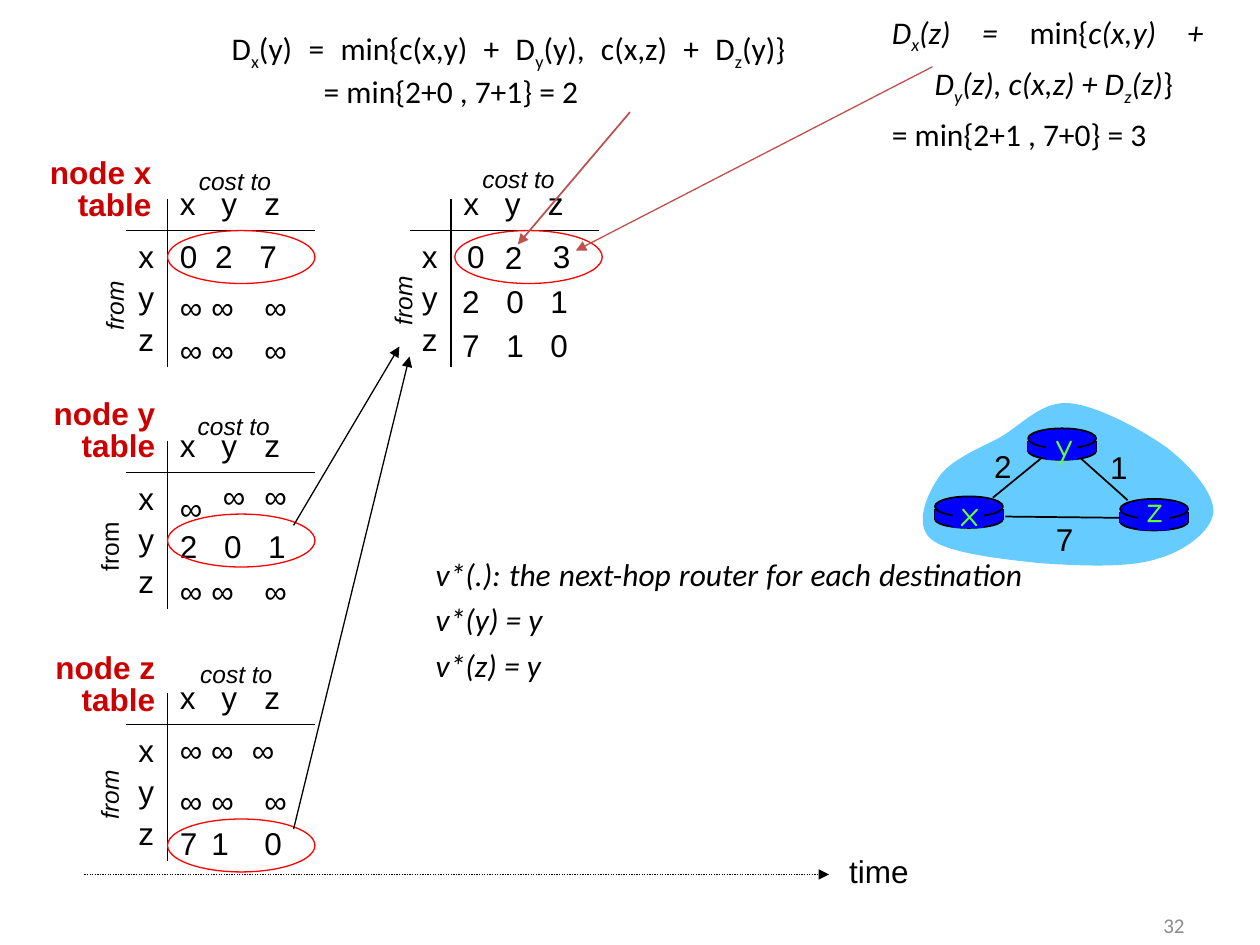
from dataclasses import dataclass

import lxml.etree
import pptx
import pptx.dml.color
import pptx.enum.dml
import pptx.enum.shapes
import pptx.enum.text
import pptx.oxml.ns
import pptx.util

Inches = pptx.util.Inches
Pt = pptx.util.Pt
MSO = pptx.enum.shapes.MSO_SHAPE
ALIGN = pptx.enum.text.PP_ALIGN
COLORS = {"black": "000000", "title": "CC0000", "ring": "FF0000", "arrow": "C0504D",
          "cloud": "66CCFF", "router": "0000FF", "name": "66FF33", "number": "8C8C8C"}
HEADER_TABS = (0.33, 0.67)
DIGIT_TABS = (0.35, 0.7)


@dataclass
class Cell:
    text: str
    x: float
    y: float
    w: float = 0.34
    tabs: tuple = ()


@dataclass
class CostTable:
    x: float
    y: float
    cost: tuple
    source: tuple
    ring: tuple
    cells: list
    title: str = ""
    title_box: tuple = ()
    source_italic: bool = True


@dataclass
class Router:
    name: str
    x: float
    y: float
    label: tuple


def color(name: str):
    return pptx.dml.color.RGBColor.from_string(COLORS[name])


def child(parent, tag: str, **attrs):
    return lxml.etree.SubElement(parent, pptx.oxml.ns.qn(tag), attrs)


def set_tabs(p, stops: tuple) -> None:
    if stops:
        tabs = child(p._p.get_or_add_pPr(), "a:tabLst")
        for stop in stops:
            child(tabs, "a:tab", pos=str(Inches(stop)), algn="l")


def add_text(shapes, box: tuple, *lines, size=18, font="Arial", ink="black", bold=None,
             italic=None, align=None, spacing=None, tabs=(), hangs=(), wrap=True, middle=False):
    tb = shapes.add_textbox(*map(Inches, box))
    tf = tb.text_frame
    tf.word_wrap = wrap
    if middle:
        tf.vertical_anchor = pptx.enum.text.MSO_ANCHOR.MIDDLE
    for i, line in enumerate(lines):
        p = tf.paragraphs[0] if i == 0 else tf.add_paragraph()
        if i < len(hangs) and hangs[i]:
            pPr = p._p.get_or_add_pPr()
            pPr.set("marL", str(Inches(hangs[i])))
            pPr.set("indent", str(-Inches(hangs[i])))
        p.alignment = align
        if spacing:
            p.line_spacing = spacing
        if isinstance(line, str):
            if "\t" in line:
                set_tabs(p, tabs)
            p.text = line
        else:
            add_formula(p, line)
        p.font.size, p.font.name = Pt(size), font
        p.font.bold, p.font.italic = bold, italic
        p.font.color.rgb = color(ink)
    return tb


def add_formula(p, segments: list) -> None:
    for text, style in segments:
        if text == "\v":
            p.add_line_break()
            continue
        r = p.add_run()
        r.text = text
        if "i" in style:
            r.font.italic = True
        if "s" in style:
            r.font._element.set("baseline", "-25000")


def add_line(shapes, start: tuple, end: tuple, ink="black", width=0.75, arrow=False, dotted=False):
    c = shapes.add_connector(pptx.enum.shapes.MSO_CONNECTOR.STRAIGHT,
                             *map(Inches, start + end))
    c.line.color.rgb = color(ink)
    c.line.width = Pt(width)
    if dotted:
        c.line.dash_style = pptx.enum.dml.MSO_LINE.ROUND_DOT
    if arrow:
        child(c.line._get_or_add_ln(), "a:tailEnd", type="triangle")
    child(c._element.spPr, "a:effectLst")


def style_shape(sp, fill=None, line=None, width=0.75) -> None:
    sp.shadow.inherit = False
    if fill:
        sp.fill.solid()
        sp.fill.fore_color.rgb = color(fill)
    else:
        sp.fill.background()
    if line:
        sp.line.color.rgb = color(line)
        sp.line.width = Pt(width)
    else:
        sp.line.fill.background()


def add_shape(shapes, kind, box: tuple, **style) -> None:
    style_shape(shapes.add_shape(kind, *map(Inches, box)), **style)


def add_table(shapes, t: CostTable) -> None:
    add_line(shapes, (t.x, t.y - 0.25), (t.x, t.y + 1.08))
    add_line(shapes, (t.x - 0.33, t.y), (t.x + 1.17, t.y))
    add_text(shapes, (t.x, t.y - 0.42, 1.1, 0.4), "x\ty\tz", tabs=HEADER_TABS)
    for i, node in enumerate("xyz"):
        add_text(shapes, (t.x - 0.33, t.y + i * 0.33, 0.34, 0.4), node)
    for c in t.cells:
        add_text(shapes, (c.x, c.y, c.w, 0.4), *c.text.split("\n"), tabs=c.tabs)
    add_text(shapes, t.cost + (0.9, 0.33), "cost to", size=14, italic=True)
    tb = add_text(shapes, t.source + (0.59, 0.33), "from", size=14, italic=t.source_italic,
                  wrap=False)
    tb.rotation = 270
    if t.title:
        add_text(shapes, t.title_box + (1.01, 0.61), t.title, "table", ink="title", bold=True,
                 align=ALIGN.RIGHT, spacing=0.85, wrap=False)
    add_shape(shapes, MSO.OVAL, t.ring + (1.17, 0.42), line="ring")


def add_router(shapes, r: Router) -> None:
    disc = {"fill": "router", "line": "black", "width": 1}
    add_shape(shapes, MSO.OVAL, (r.x, r.y + 0.11, 0.54, 0.14), **disc)
    for x in (r.x, r.x + 0.54):
        add_line(shapes, (x, r.y + 0.1), (x, r.y + 0.19), width=1)
    add_shape(shapes, MSO.RECTANGLE, (r.x, r.y + 0.1, 0.54, 0.09), fill="router")
    add_shape(shapes, MSO.OVAL, (r.x, r.y, 0.54, 0.16), **disc)
    add_shape(shapes, MSO.RECTANGLE, (r.x + 0.14, r.y + 0.02, 0.25, 0.23), fill="router")
    add_text(shapes, r.label + (0.35, 0.44), r.name, size=20, font="Comic Neue", ink="name",
             align=ALIGN.CENTER, wrap=False)


def add_cloud(shapes, start: tuple, curves: list) -> None:
    fb = shapes.build_freeform(*map(Inches, start))
    fb.add_line_segments([tuple(map(Inches, curve[4:])) for curve in curves], close=True)
    sp = fb.convert_to_shape()
    segments = list(sp._element.iter(pptx.oxml.ns.qn("a:lnTo")))
    for segment, curve in zip(segments, curves):
        segment.tag = pptx.oxml.ns.qn("a:cubicBezTo")
        segment.remove(segment[0])
        for x, y in zip(curve[::2], curve[1::2]):
            child(segment, "a:pt", x=str(Inches(x) - sp.left), y=str(Inches(y) - sp.top))
    style_shape(sp, fill="cloud")


def infinities(y: float, xs=(1.33, 1.58, 2)) -> list:
    return [Cell("∞", x, y, 0.4) for x in xs]


TABLES = [
    CostTable(1.33, 1.83, (1.48, 1.27), (0.61, 2.26), (1.33, 1.83),
              [Cell("0\t2\t7", 1.33, 1.83, 1.1, (0.28, 0.63))] + infinities(2.24)
              + infinities(2.58), "node x", (0.29, 1.21)),
    CostTable(3.58, 1.83, (3.73, 1.25), (2.9, 2.22), (3.61, 1.83),
              [Cell("0", 3.61, 1.83), Cell("2", 3.91, 1.84), Cell("3", 4.29, 1.83),
               Cell("2\t0\t1", 3.57, 2.19, 1.15, DIGIT_TABS),
               Cell("7\t1\t0", 3.57, 2.54, 1.15, DIGIT_TABS)]),
    CostTable(1.33, 3.75, (1.47, 3.21), (0.57, 4.17), (1.33, 4.08),
              infinities(3.74, (1.67, 2)) + infinities(4.49)
              + [Cell("∞\n2\t0\t1", 1.33, 3.83, 1.15, DIGIT_TABS)],
              "node y", (0.32, 3.12), False),
    CostTable(1.33, 5.75, (1.49, 5.18), (0.57, 6.14), (1.33, 6.5),
              [Cell("∞ ∞\t∞", 1.33, 5.75, 1.08, (0.57,))] + infinities(6.16)
              + [Cell("7", 1.33, 6.49), Cell("1", 1.58, 6.49), Cell("0", 2, 6.49)],
              "node z", (0.32, 5.14)),
]
ROUTERS = [Router("x", 7.42, 3.94, (7.52, 3.85)), Router("z", 8.89, 3.96, (8.99, 3.82)),
           Router("y", 8.16, 3.4, (8.27, 3.31))]
LINKS = [((7.88, 3.95), (8.26, 3.64)), ((8.58, 3.64), (8.95, 3.97)), ((8.91, 4.11), (7.98, 4.1))]
LINK_COSTS = [Cell("1", 8.71, 3.51), Cell("2", 7.79, 3.5), Cell("7", 8.28, 4.08)]
CLOUD = [(7.54, 3.65, 7.77, 3.56, 7.94, 3.47), (8.11, 3.37, 8.27, 3.18, 8.49, 3.2),
         (8.71, 3.22, 9.08, 3.42, 9.27, 3.56), (9.46, 3.71, 9.64, 3.92, 9.63, 4.07),
         (9.61, 4.22, 9.4, 4.38, 9.17, 4.44), (8.94, 4.51, 8.55, 4.49, 8.26, 4.47),
         (7.96, 4.44, 7.52, 4.39, 7.39, 4.28), (7.25, 4.16, 7.36, 3.92, 7.45, 3.79)]
COST_Y = [("D", ""), ("x", "s"), ("(y) = min{c(x,y) + D", ""), ("y", "s"),
          ("(y), c(x,z) + D", ""), ("z", "s"), ("(y)} ", ""), ("\v", ""),
          ("= min{2+0 , 7+1} = 2", "")]
COST_Z = [("D", "i"), ("x", "is"), ("(z) = ", "i"), ("min{", ""), ("c(x,y) + ", "i"), ("\v", ""),
          ("D", "i"), ("y", "is"), ("(z), c(x,z) + D", "i"), ("z", "is"), ("(z)", "i"), ("}", "")]


def main() -> None:
    prs = pptx.Presentation()
    prs.slide_width, prs.slide_height = Inches(10), Inches(7.5)
    s = prs.slides.add_slide(prs.slide_layouts[6])
    for table in TABLES:
        add_table(s.shapes, table)
    add_line(s.shapes, (2.33, 4.17), (3.17, 2.75), arrow=True)
    add_line(s.shapes, (2.33, 6.58), (3.25, 2.83), arrow=True)
    add_line(s.shapes, (0.67, 6.94), (6.58, 6.94), arrow=True, dotted=True)
    add_text(s.shapes, (6.64, 6.71, 0.75, 0.4), "time")
    network = s.shapes.add_group_shape().shapes
    add_cloud(network, (7.45, 3.79), CLOUD)
    for start, end in LINKS:
        add_line(network, start, end, width=1)
    for router in ROUTERS:
        add_router(network, router)
    for c in LINK_COSTS:
        add_text(network, (c.x, c.y, c.w, 0.4), c.text, align=ALIGN.CENTER)
    formula = {"font": "Calibri", "align": ALIGN.JUSTIFY, "middle": True}
    add_text(s.shapes, (1.74, 0.2, 4.72, 0.7), COST_Y, hangs=(0.73,), **formula)
    add_line(s.shapes, (5, 0.89), (4.11, 1.94), ink="arrow", width=1, arrow=True)
    add_text(s.shapes, (6.98, 0.03, 2.92, 1.18), COST_Z, "= min{2+1 , 7+0} = 3",
             hangs=(0.34,), spacing=1.2, **formula)
    add_line(s.shapes, (7.4, 0.53), (4.57, 1.99), ink="arrow", arrow=True)
    add_text(s.shapes, (3.36, 4.29, 4.92, 1.19),
             "v*(.): the next-hop router for each destination \vv*(y) = y", "v*(z) = y",
             italic=True, spacing=1.2, **formula)
    add_text(s.shapes, (7.17, 7.14, 2.33, 0.4), "32", size=12, font="Calibri", ink="number",
             align=ALIGN.RIGHT, middle=True)
    prs.save("out.pptx")


if __name__ == "__main__":
    main()
